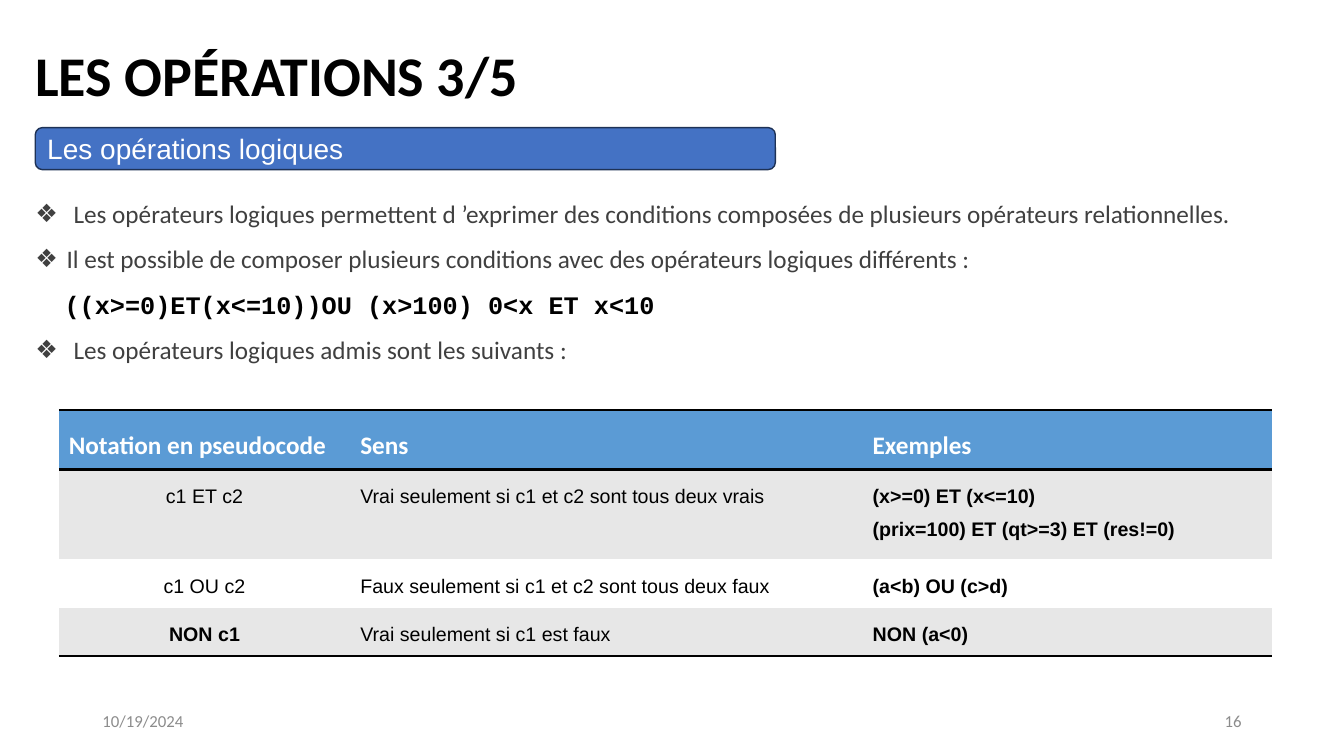
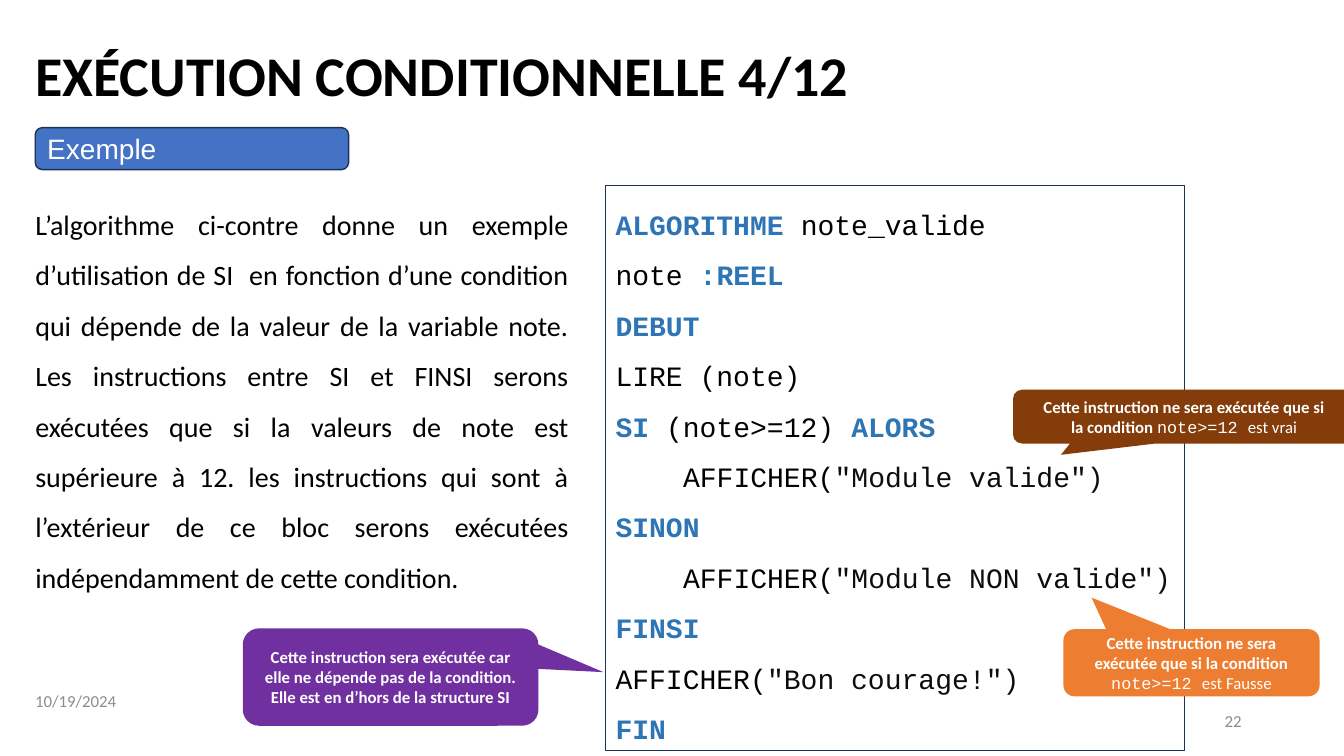
"""Build two course slides on logical operators and conditional execution."""
from dataclasses import dataclass, replace
from typing import NamedTuple

from lxml import etree
from pptx import Presentation
from pptx import util as u
from pptx.dml import color
from pptx.enum import shapes, text
from pptx.oxml import ns

COLUMNS, ROWS = 160, 90
SLIDE_WIDTH, SLIDE_HEIGHT = u.Inches(13.33), u.Inches(7.5)
BLACK, WHITE, GREY, CHARCOAL = "000000", "FFFFFF", "8C8C8C", "404040"
BLUE, NAVY, KEYWORD, QUOTED = "4472C4", "1E3256", "2E75B6", "0D0D0D"
HEADER_FILL, BAND_FILL = "5B9BD5", "E7E7E7"
CODE_FONT = "Courier New"
PLAIN_TABLE = "{2D5ABB26-0587-4C30-8999-92F81FD0307C}"
ALIGN = text.PP_ALIGN
MIDDLE, TOP = text.MSO_ANCHOR.MIDDLE, text.MSO_ANCHOR.TOP


class Area(NamedTuple):
    column: float
    row: float
    columns: float
    rows: float


class Run(NamedTuple):
    text: str
    color: str | None = None
    bold: bool | None = None
    font: str | None = None


class Line(NamedTuple):
    runs: tuple[Run, ...]
    margin: float = 0
    bullet: str = ""


@dataclass(frozen=True)
class Style:
    size: float
    color: str
    font: str = "Calibri"
    bold: bool = False
    align: ALIGN = ALIGN.LEFT
    spacing: float = 1.0


@dataclass(frozen=True)
class Callout:
    area: Area
    fill: str
    tip: tuple[float, float]
    runs: tuple[Run, ...]


TITLE = Style(40, BLACK, bold=True)
BADGE = Style(20, WHITE, "Arial")
FOOTER = Style(12, GREY)
LIST = Style(18, CHARCOAL, spacing=1.5)
PROSE = Style(20, BLACK, align=ALIGN.JUSTIFY, spacing=1.5)
CODE = Style(20, BLACK, CODE_FONT, spacing=1.5)
CALLOUT = Style(12, WHITE, bold=True, align=ALIGN.CENTER)
HEADING = Style(18, WHITE, bold=True, spacing=1.5)
CELL = Style(14, BLACK, "Arial", spacing=1.5)

OPERATOR_LIST = [
    Line((Run("Les opérateurs logiques permettent d ’exprimer des conditions "
              "composées de plusieurs opérateurs relationnelles."),), 0.38, "❖"),
    Line((Run("Il est possible de composer plusieurs conditions avec des "
              "opérateurs logiques différents :"),), 0.31, "❖"),
    Line((Run("((x>=0)ET(x<=10))OU (x>100) 0<x ET x<10", BLACK, True, CODE_FONT),), 0.29),
    Line((Run("Les opérateurs logiques admis sont les suivants :"),), 0.38, "❖"),
]
OPERATOR_TABLE = [
    ("Notation en pseudocode", "Sens", "Exemples"),
    ("c1 ET c2", "Vrai seulement si c1 et c2 sont tous deux vrais",
     "(x>=0) ET (x<=10)\n(prix=100) ET (qt>=3) ET (res!=0)"),
    ("c1 OU c2", "Faux seulement si c1 et c2 sont tous deux faux", "(a<b) OU (c>d)"),
    ("NON c1", "Vrai seulement si c1 est faux", "NON (a<0)"),
]
EXPLANATION = (
    "L’algorithme ci-contre donne un exemple d’utilisation de SI  en fonction d’une "
    "condition qui dépende de la valeur de la variable note. Les instructions entre SI "
    "et FINSI serons exécutées que si la valeurs de note est supérieure à 12. les "
    "instructions qui sont à l’extérieur de ce bloc serons exécutées indépendamment "
    "de cette condition."
)


def keyword(word: str) -> Run:
    """Return a run in the style of a reserved word."""
    return Run(word, KEYWORD, True)


def display(message: str, margin: float = 0) -> Line:
    """Return a code line that displays a message."""
    return Line((Run("AFFICHER("), Run(f'"{message}")', QUOTED)), margin)


ALGORITHM = [
    Line((keyword("ALGORITHME "), Run("note_valide"))),
    Line((Run("note"), keyword(" :REEL"))),
    Line((keyword("DEBUT"),)),
    Line((Run("LIRE (note)"),)),
    Line((keyword("SI "), Run("(note>=12) "), keyword("ALORS"))),
    display("Module valide", 0.67),
    Line((keyword("SINON"),)),
    display("Module NON valide", 0.67),
    Line((keyword("FINSI"),)),
    display("Bon courage!"),
    Line((keyword("FIN"),)),
]
CONDITION = Run("note>=12 ", bold=False, font=CODE_FONT)
CALLOUTS = [
    Callout(Area(120.6, 46.4, 40.7, 6.4), "843C0B", (-0.36, 0.71),
            (Run("Cette instruction ne sera exécutée que si"), Run("\n"),
             Run("la condition "), CONDITION, Run("est vrai", bold=False))),
    Callout(Area(28.9, 74.8, 35.2, 11.6), "7030A0", (0.72, -0.05),
            (Run("Cette instruction sera exécutée car elle ne dépende pas de la "
                 "condition. Elle est en d’hors de la structure SI"),)),
    Callout(Area(126.6, 74.9, 30.5, 8), "ED7D31", (-0.39, -0.97),
            (Run("Cette instruction ne sera exécutée que si la condition "),
             CONDITION, Run("est Fausse", bold=False))),
]


def rgb(value: str) -> color.RGBColor:
    """Return the colour for a hex string."""
    return color.RGBColor.from_string(value)


def across(columns: float) -> int:
    """Return the width of some grid columns."""
    return round(SLIDE_WIDTH * columns / COLUMNS)


def down(rows: float) -> int:
    """Return the height of some grid rows."""
    return round(SLIDE_HEIGHT * rows / ROWS)


def frame(area: Area) -> tuple[int, int, int, int]:
    """Return left, top, width and height of a grid area."""
    return across(area.column), down(area.row), across(area.columns), down(area.rows)


def set_indent(paragraph, line: Line) -> None:
    """Set the margin and the bullet of a paragraph."""
    properties = paragraph._p.get_or_add_pPr()
    margin = u.Inches(line.margin)
    properties.set("marL", str(margin))
    properties.set("indent", str(-margin if line.bullet else 0))
    if line.bullet:
        etree.SubElement(properties, ns.qn("a:buChar"), char=line.bullet)
    else:
        etree.SubElement(properties, ns.qn("a:buNone"))


def set_font(font, style: Style) -> None:
    """Apply a style to a font."""
    font.name, font.size, font.bold = style.font, u.Pt(style.size), style.bold
    font.color.rgb = rgb(style.color)


def write(text_frame, lines: list[Line], style: Style, anchor=TOP) -> None:
    """Fill a text frame with styled lines."""
    text_frame.word_wrap = True
    text_frame.auto_size = text.MSO_AUTO_SIZE.NONE
    text_frame.vertical_anchor = anchor
    write_lines(text_frame, lines, style)


def write_lines(text_frame, lines: list[Line], style: Style) -> None:
    """Write styled lines as paragraphs."""
    for index, line in enumerate(lines):
        paragraph = text_frame.add_paragraph() if index else text_frame.paragraphs[0]
        set_indent(paragraph, line)
        paragraph.alignment, paragraph.line_spacing = style.align, style.spacing
        paragraph.space_before = u.Pt(0)
        set_font(paragraph.font, style)
        for part in line.runs:
            if part.text == "\n":
                paragraph.add_line_break()
                continue
            run = paragraph.add_run()
            run.text = part.text
            set_font(run.font, replace(
                style, font=part.font or style.font, color=part.color or style.color,
                bold=style.bold if part.bold is None else part.bold))


def plain(content: str) -> list[Line]:
    """Return one unformatted line for each line of content."""
    return [Line((Run(row),)) for row in content.split("\n")]


def place(placeholder, area: Area, lines: list[Line], style: Style) -> None:
    """Move a placeholder and fill it."""
    placeholder.left, placeholder.top, placeholder.width, placeholder.height = frame(area)
    write(placeholder.text_frame, lines, style)


def add_block(slide, kind, area: Area, fill: str | None, outline: str | None, weight: float = 1):
    """Add a flat preset shape."""
    block = slide.shapes.add_shape(kind, *frame(area))
    block.shadow.inherit = False
    if fill:
        block.fill.solid()
        block.fill.fore_color.rgb = rgb(fill)
    else:
        block.fill.background()
    if outline:
        block.line.color.rgb = rgb(outline)
        block.line.width = u.Pt(weight)
    else:
        block.line.fill.background()
    return block


def add_footer(slide, area: Area, content: str, align: ALIGN) -> None:
    """Add a footer text."""
    footer = slide.shapes.add_textbox(*frame(area))
    write(footer.text_frame, plain(content), replace(FOOTER, align=align), MIDDLE)


def add_slide(deck, title: str, topic: str, topic_columns: float, number: int,
              date_corner: tuple[float, float]):
    """Add a slide with title, topic badge and footers."""
    slide = deck.slides.add_slide(deck.slide_layouts[1])
    place(slide.shapes.title, Area(3, 4.2, 138, 9.2), plain(title), TITLE)
    badge = add_block(slide, shapes.MSO_SHAPE.ROUNDED_RECTANGLE,
                      Area(4.2, 15.2, topic_columns, 5), BLUE, NAVY)
    write(badge.text_frame, plain(topic), BADGE, MIDDLE)
    add_footer(slide, Area(*date_corner, 36, 4.8), "10/19/2024", ALIGN.LEFT)
    add_footer(slide, Area(113, 83.4, 36, 4.8), str(number), ALIGN.RIGHT)
    return slide


def add_border(cell, side: str) -> None:
    """Draw a black border on one side of a cell."""
    border = etree.SubElement(cell._tc.get_or_add_tcPr(), ns.qn(f"a:{side}"), w=str(u.Pt(2)))
    fill = etree.SubElement(border, ns.qn("a:solidFill"))
    etree.SubElement(fill, ns.qn("a:srgbClr"), val=BLACK)


def add_operator_table(slide) -> None:
    """Add the table of logical operators."""
    widths, heights = (34.7, 61, 48.7), (7.1, 10.7, 5.75, 5.75)
    area = Area(7, 48.8, sum(widths), sum(heights))
    table = slide.shapes.add_table(len(heights), len(widths), *frame(area)).table
    table._tbl.tblPr.find(ns.qn("a:tableStyleId")).text = PLAIN_TABLE
    for column, width in zip(table.columns, widths):
        column.width = across(width)
    last = len(heights) - 1
    for y, (row, height) in enumerate(zip(table.rows, heights)):
        row.height = down(height)
        for x, cell in enumerate(row.cells):
            if y == 0:
                add_border(cell, "lnT")
            if y in (0, last):
                add_border(cell, "lnB")
            cell.fill.solid()
            cell.fill.fore_color.rgb = rgb(HEADER_FILL if y == 0 else BAND_FILL if y % 2 else WHITE)
            body = replace(CELL, bold=x == 2 or (x == 0 and y == last),
                           align=ALIGN.LEFT if x else ALIGN.CENTER)
            write_lines(cell.text_frame, plain(OPERATOR_TABLE[y][x]), body if y else HEADING)


def add_callout(slide, callout: Callout) -> None:
    """Add a speech bubble that points at a code line."""
    bubble = add_block(slide, shapes.MSO_SHAPE.ROUNDED_RECTANGULAR_CALLOUT,
                       callout.area, callout.fill, None)
    bubble.adjustments[0], bubble.adjustments[1] = callout.tip
    write(bubble.text_frame, [Line(callout.runs)], CALLOUT, MIDDLE)


def main() -> None:
    """Build and save the presentation."""
    deck = Presentation()
    deck.slide_width, deck.slide_height = SLIDE_WIDTH, SLIDE_HEIGHT

    operations = add_slide(deck, "LES OPÉRATIONS 3/5", "Les opérations logiques", 88.1, 16, (11, 83.4))
    place(operations.placeholders[1], Area(3, 21.2, 153.5, 26.6), OPERATOR_LIST, LIST)
    add_operator_table(operations)

    execution = add_slide(deck, "EXÉCUTION CONDITIONNELLE 4/12", "Exemple", 37.3, 22, (3, 81))
    place(execution.placeholders[1], Area(3, 22.1, 65.9, 55.1), plain(EXPLANATION), PROSE)
    algorithm = add_block(execution, shapes.MSO_SHAPE.RECTANGLE,
                          Area(72.1, 22.1, 68.9, 67.3), None, NAVY, 0.75)
    write(algorithm.text_frame, ALGORITHM, CODE)
    for callout in CALLOUTS:
        add_callout(execution, callout)

    deck.save("out.pptx")


if __name__ == "__main__":
    main()
